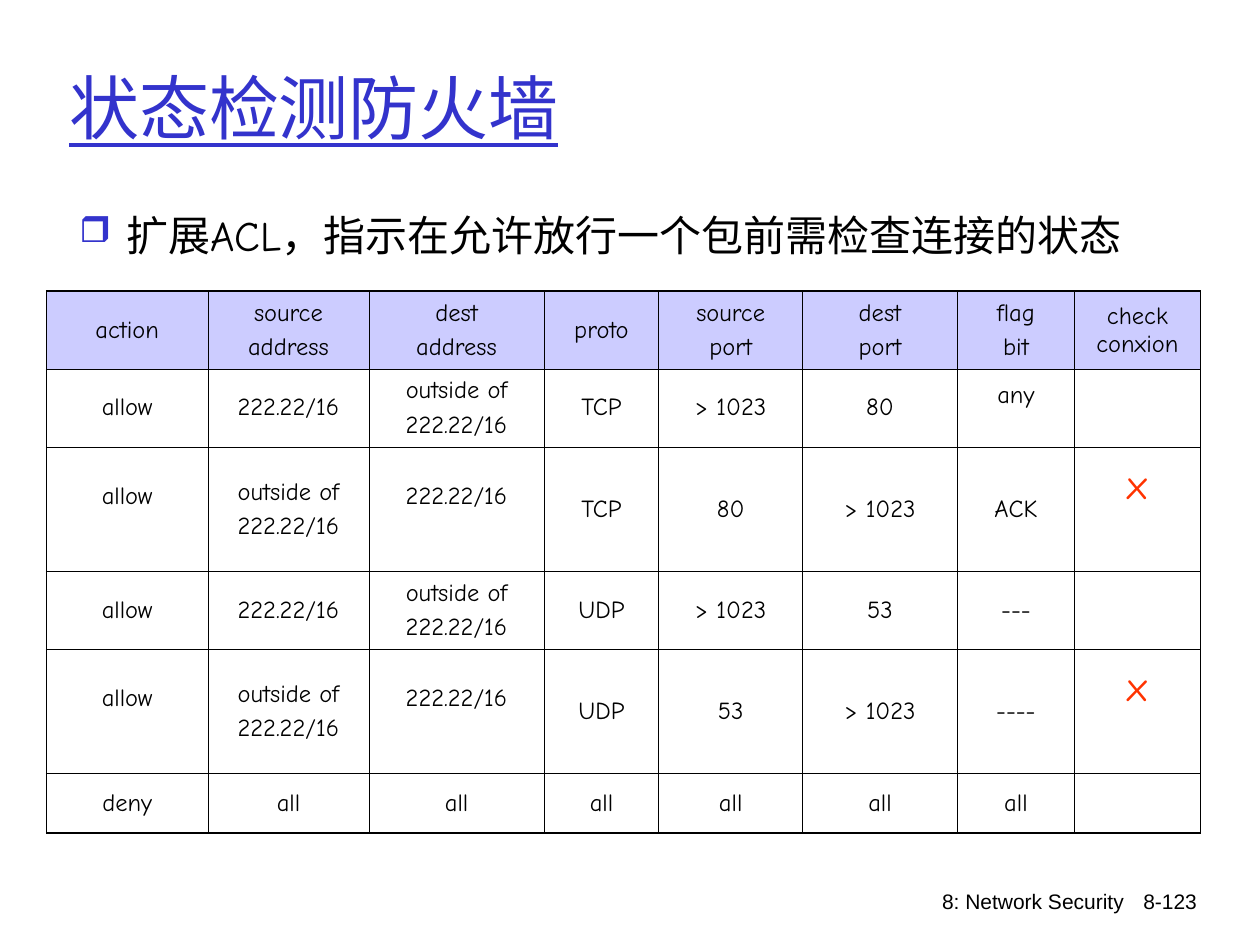
"""Build the stateful firewall slide with its extended ACL table."""
from dataclasses import dataclass

import lxml.etree
import pptx
import pptx.dml.color
import pptx.enum.text
import pptx.oxml.ns
import pptx.util

Cm = pptx.util.Cm
Pt = pptx.util.Pt
Align = pptx.enum.text.PP_ALIGN
Anchor = pptx.enum.text.MSO_ANCHOR


@dataclass(frozen=True)
class Theme:
    """Colours, fonts, type sizes and line weights."""
    ink: str = "000000"
    accent: str = "3333CC"
    header: str = "CCCCFF"
    mark: str = "FF3300"
    hand: str = "Comic Neue"
    plain: str = "Arial"
    title_size: float = 40
    body_size: float = 24
    cell_size: float = 14
    footer_size: float = 12
    outer_line: float = 1.08
    inner_line: float = 0.45


@dataclass(frozen=True)
class Box:
    """Place and size in centimetres."""
    left: float
    top: float
    width: float
    height: float


@dataclass(frozen=True)
class Footer:
    """One right-aligned footer entry."""
    text: str
    box: Box


@dataclass(frozen=True)
class Rule:
    """One row of the table with the columns whose text is raised."""
    height: float
    texts: tuple[str, ...]
    raised: tuple[int, ...] = ()


THEME = Theme()
MARK = "x"
MARGIN, RAISED_MARGIN, MARK_MARGIN = 0.13, 0.64, 1.07
TITLE_BOX = Box(1.14, 0.56, 21.59, 3.18)
BODY_BOX = Box(1.35, 4.09, 22.78, 12.75)
TABLE_LEFT, TABLE_TOP = 0.94, 5.87
COLUMNS = (3.25, 3.25, 3.53, 2.31, 2.9, 3.12, 2.36, 2.54)
INSIDE, OUTSIDE = "222.22/16", "outside of\n222.22/16"
RULES = (
    Rule(1.57, ("action", "source\naddress", "dest\naddress", "proto",
                "source\nport", "dest\nport", "flag\nbit", "check conxion")),
    Rule(1.57, ("allow", INSIDE, OUTSIDE, "TCP", "> 1023", "80", "any", ""), (6,)),
    Rule(2.51, ("allow", OUTSIDE, INSIDE, "TCP", "80", "> 1023", "ACK", MARK), (0, 2)),
    Rule(1.57, ("allow", INSIDE, OUTSIDE, "UDP", "> 1023", "53", "---", "")),
    Rule(2.51, ("allow", OUTSIDE, INSIDE, "UDP", "53", "> 1023", "----", MARK), (0, 2)),
    Rule(1.19, ("deny",) + ("all",) * 6 + ("",)),
)
FOOTERS = (
    Footer("8: Network Security", Box(14.86, 17.78, 8.05, 1.27)),
    Footer("8-123", Box(22.35, 17.78, 2.03, 0.81)),
)


def set_font(font, name: str, size: float, colour: str) -> None:
    """Apply a typeface, size and colour."""
    font.name = name
    font.size = Pt(size)
    font.color.rgb = pptx.dml.color.RGBColor.from_string(colour)


def add_element(parent, tag: str, **attributes: str):
    """Append a drawing element to its parent."""
    return lxml.etree.SubElement(parent, pptx.oxml.ns.qn(tag), attributes)


def add_text(slide, box: Box, text: str):
    """Add a wrapped text box and return its paragraph."""
    frame = slide.shapes.add_textbox(
        Cm(box.left), Cm(box.top), Cm(box.width), Cm(box.height)).text_frame
    frame.word_wrap = True
    frame.text = text
    return frame.paragraphs[0]


def draw_title(slide, box: Box, text: str) -> None:
    """Place and format the title placeholder."""
    title = slide.shapes.title
    title.left, title.top = Cm(box.left), Cm(box.top)
    title.width, title.height = Cm(box.width), Cm(box.height)
    title.text_frame.text = text
    title.text_frame.vertical_anchor = Anchor.MIDDLE
    heading = title.text_frame.paragraphs[0]
    heading.alignment = Align.LEFT
    font = heading.runs[0].font
    set_font(font, THEME.hand, THEME.title_size, THEME.accent)
    font.underline = True


def draw_bullet(slide, box: Box, text: str) -> None:
    """Draw the statement with its square bullet."""
    statement = add_text(slide, box, text)
    properties = statement._p.get_or_add_pPr()
    properties.set("marL", str(Cm(0.95)))
    properties.set("indent", str(Cm(-0.95)))
    colour = add_element(properties, "a:buClr")
    add_element(colour, "a:srgbClr", val=THEME.accent)
    add_element(properties, "a:buSzPct", val="85000")
    add_element(properties, "a:buChar", char="❒")
    set_font(statement.runs[0].font, THEME.hand, THEME.body_size, THEME.ink)


def draw_footer(slide, footer: Footer) -> None:
    """Draw one footer entry."""
    entry = add_text(slide, footer.box, footer.text)
    entry.alignment = Align.RIGHT
    set_font(entry.runs[0].font, THEME.plain, THEME.footer_size, THEME.ink)


def set_borders(cell, outer_sides: dict[str, bool]) -> None:
    """Draw the four cell borders, heavier on the outer sides."""
    properties = cell._tc.get_or_add_tcPr()
    for side, is_outer in outer_sides.items():
        weight = THEME.outer_line if is_outer else THEME.inner_line
        line = add_element(properties, f"a:ln{side}", w=str(Pt(weight)))
        fill = add_element(line, "a:solidFill")
        add_element(fill, "a:srgbClr", val=THEME.ink)


def fill_cell(cell, text: str, is_header: bool, is_raised: bool) -> None:
    """Write and format one table cell."""
    is_mark = text == MARK
    cell.text = text
    cell.vertical_anchor = Anchor.MIDDLE
    cell.margin_top = Cm(MARGIN)
    cell.margin_bottom = Cm(
        MARK_MARGIN if is_mark else RAISED_MARGIN if is_raised else MARGIN)
    if is_header:
        cell.fill.solid()
        cell.fill.fore_color.rgb = pptx.dml.color.RGBColor.from_string(THEME.header)
    else:
        cell.fill.background()
    for index, line in enumerate(cell.text_frame.paragraphs):
        line.alignment = Align.CENTER
        if index:
            line.space_before = Pt(3.5)
        for font in [line.font] + [run.font for run in line.runs]:
            set_font(font, THEME.hand,
                     THEME.body_size if is_mark else THEME.cell_size,
                     THEME.mark if is_mark else THEME.ink)


def draw_rules(slide, rules: tuple[Rule, ...]) -> None:
    """Draw the access control table."""
    acl = slide.shapes.add_table(
        len(rules), len(COLUMNS), Cm(TABLE_LEFT), Cm(TABLE_TOP),
        Cm(sum(COLUMNS)), Cm(sum(rule.height for rule in rules))).table
    acl.first_row = acl.horz_banding = False
    for column, width in zip(acl.columns, COLUMNS):
        column.width = Cm(width)
    for row, rule in enumerate(rules):
        acl.rows[row].height = Cm(rule.height)
        for column, text in enumerate(rule.texts):
            cell = acl.cell(row, column)
            set_borders(cell, {"L": column == 0, "R": column == len(COLUMNS) - 1,
                               "T": row == 0, "B": row == len(rules) - 1})
            fill_cell(cell, text, row == 0, column in rule.raised)


def main() -> None:
    """Build and save the slide."""
    deck = pptx.Presentation()
    deck.slide_width, deck.slide_height = Cm(25.4), Cm(19.05)
    slide = deck.slides.add_slide(deck.slide_layouts[5])
    for footer in FOOTERS:
        draw_footer(slide, footer)
    draw_rules(slide, RULES)
    draw_title(slide, TITLE_BOX, "状态检测防火墙")
    draw_bullet(slide, BODY_BOX, "扩展ACL，指示在允许放行一个包前需检查连接的状态")
    deck.save("out.pptx")


if __name__ == "__main__":
    main()
